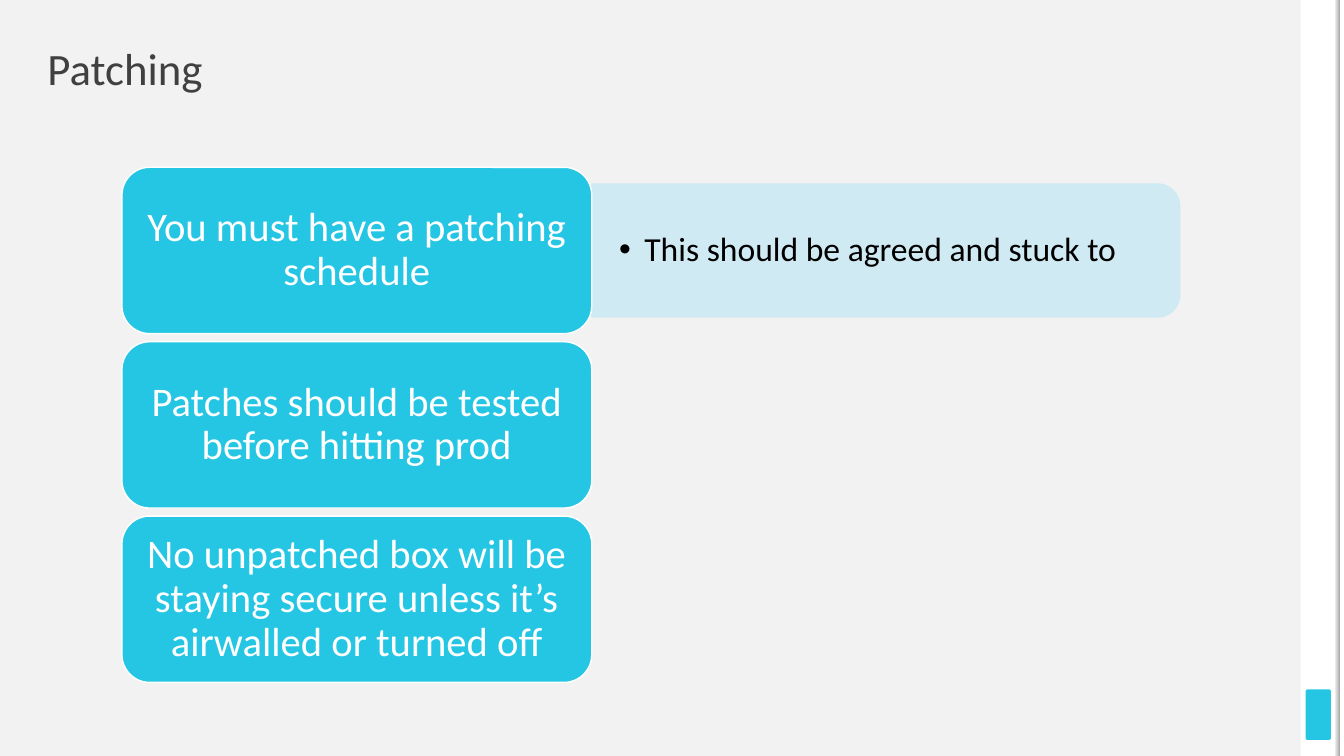
from lxml.etree import SubElement
from pptx import Presentation
from pptx.dml.color import RGBColor
from pptx.enum.shapes import MSO_SHAPE
from pptx.enum.text import MSO_ANCHOR, MSO_AUTO_SIZE, PP_ALIGN
from pptx.oxml.ns import qn
from pptx.util import Inches, Pt

TITLE = "Patching"
RULES = [
    "You must have a patching schedule",
    "Patches should be tested before hitting prod",
    "No unpatched box will be staying secure unless it’s airwalled or turned off",
]
SCHEDULE_DETAIL = "This should be agreed and stuck to"

COLORS = {
    "background": "F2F2F2",
    "white": "FFFFFF",
    "accent": "25C6E3",
    "detail": "CDEAF4",
    "title": "404040",
    "black": "000000",
    "edge": "A6A6A6",
}
FONT = "Calibri"

SLIDE_W, SLIDE_H = 13.33, 7.5
RULE_LEFT, RULE_TOP, RULE_W, RULE_H, RULE_STEP = 1.21, 1.66, 4.66, 1.65, 1.73
DETAIL_W, DETAIL_H = 5.83, 1.32
DETAIL_LEFT = RULE_LEFT + RULE_W
DETAIL_MID = RULE_TOP + RULE_H / 2


def color(name):
    return RGBColor.from_string(COLORS[name])


def add_block(slide, kind, left, top, width, height, fill, line=None):
    block = slide.shapes.add_shape(
        kind, Inches(left), Inches(top), Inches(width), Inches(height))
    block.shadow.inherit = False
    block.fill.solid()
    block.fill.fore_color.rgb = color(fill)
    if line:
        block.line.color.rgb = color(line)
        block.line.width = Pt(1)
    else:
        block.line.fill.background()
    return block


def write(shape, text, size, ink, align, margins=(0, 0)):
    """Fill the shape with one paragraph; margins are horizontal, vertical."""
    frame = shape.text_frame
    frame.word_wrap = True
    frame.auto_size = MSO_AUTO_SIZE.NONE
    frame.vertical_anchor = MSO_ANCHOR.MIDDLE
    frame.margin_left = frame.margin_right = Inches(margins[0])
    frame.margin_top = frame.margin_bottom = Inches(margins[1])
    paragraph = frame.paragraphs[0]
    paragraph.alignment = align
    paragraph.line_spacing = 0.9
    paragraph.space_before = Pt(0)
    run = paragraph.add_run()
    run.text = text
    run.font.name = FONT
    run.font.size = Pt(size)
    run.font.color.rgb = color(ink)
    return paragraph


def place(shape, left, top, width, height):
    shape.left, shape.top = Inches(left), Inches(top)
    shape.width, shape.height = Inches(width), Inches(height)


def add_side_band(slide):
    add_block(slide, MSO_SHAPE.RECTANGLE, 12.9, 0, 0.39, SLIDE_H, "white")
    tab = add_block(slide, MSO_SHAPE.ROUNDED_RECTANGLE,
                    12.95, 6.84, 0.25, 0.5, "accent")
    tab.adjustments[0] = 0.07
    add_block(slide, MSO_SHAPE.RECTANGLE, 13.29, 0, 0.05, SLIDE_H, "white")
    edge = add_block(slide, MSO_SHAPE.RECTANGLE, 13.24, 0, 0.05, SLIDE_H, "edge")
    edge.fill.gradient()
    edge.fill.gradient_angle = 0
    for stop, name in zip(edge.fill.gradient_stops, ("background", "edge")):
        stop.color.rgb = color(name)


def add_detail(slide, body):
    # The panel is a tall shape turned a quarter, so its sides swap.
    panel = add_block(slide, MSO_SHAPE.ROUND_2_SAME_RECTANGLE,
                      DETAIL_LEFT + (DETAIL_W - DETAIL_H) / 2,
                      DETAIL_MID - DETAIL_W / 2,
                      DETAIL_H, DETAIL_W, "detail", "detail")
    panel.rotation = 90
    for tint in panel.element.spPr.iter(qn("a:srgbClr")):
        SubElement(tint, qn("a:alpha"), val="90000")

    slide.shapes.element.append(body.element)  # bring the text above the panel
    place(body, DETAIL_LEFT, DETAIL_MID - 0.6, 5.77, 1.2)
    bullet = write(body, SCHEDULE_DETAIL, 24, "black", PP_ALIGN.LEFT, (0.27, 0.14))
    props = bullet._p.get_or_add_pPr()
    props.set("marL", str(Inches(0.25)))
    props.set("indent", str(Inches(-0.25)))
    SubElement(props, qn("a:buChar"), char="•")


def main():
    deck = Presentation()
    deck.slide_width, deck.slide_height = Inches(SLIDE_W), Inches(SLIDE_H)
    slide = deck.slides.add_slide(deck.slide_layouts[1])
    slide.background.fill.solid()
    slide.background.fill.fore_color.rgb = color("background")

    add_side_band(slide)
    title, body = slide.placeholders
    place(title, 0.47, 0.47, 5.98, 0.47)
    write(title, TITLE, 32, "title", PP_ALIGN.LEFT)
    add_detail(slide, body)
    for row, rule in enumerate(RULES):
        box = add_block(slide, MSO_SHAPE.ROUNDED_RECTANGLE, RULE_LEFT,
                        RULE_TOP + row * RULE_STEP, RULE_W, RULE_H,
                        "accent", "white")
        write(box, rule, 29, "white", PP_ALIGN.CENTER, (0.12, 0.06))
    deck.save("out.pptx")


if __name__ == "__main__":
    main()
